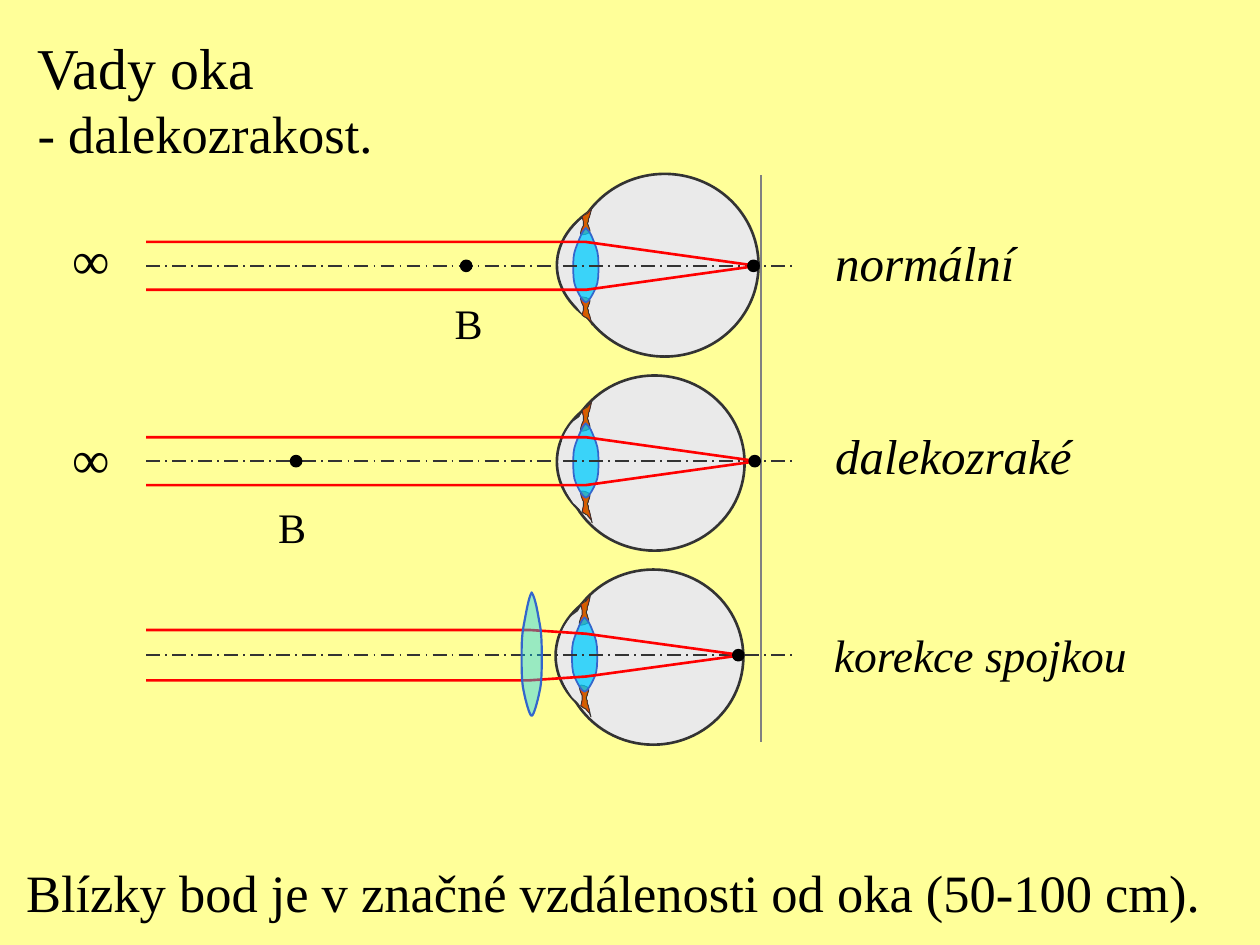
import copy
from dataclasses import dataclass
from typing import Any, NamedTuple, Optional

import pptx
import pptx.dml.color
import pptx.enum.dml
import pptx.enum.shapes
import pptx.enum.text
import pptx.oxml.ns
import pptx.util

Inches = pptx.util.Inches
Pt = pptx.util.Pt
qn = pptx.oxml.ns.qn
OVAL = pptx.enum.shapes.MSO_SHAPE.OVAL
Steps = list[tuple[float, ...]]


@dataclass(frozen=True)
class Theme:
    font: str = "Times New Roman"
    back: str = "FFFF99"
    ink: str = "000000"
    globe: str = "EAEAEA"
    edge: str = "333333"
    lens: str = "00CCFF"
    rim: str = "3366CC"
    ray: str = "FF0000"
    wall: str = "808080"
    iris: tuple = ("FF3300", "CC6600", "FF3300")
    title: int = 33
    body: int = 30
    label: int = 28
    small: int = 26
    mark: int = 24


class Box(NamedTuple):
    left: float
    top: float
    width: float
    height: float


@dataclass(frozen=True)
class Eye:
    """Parts of an eye; heights are measured from the optical axis."""
    bulge: Box
    globe: Box
    inner: Steps
    iris_top: float
    iris_high: float


@dataclass(frozen=True)
class Row:
    axis: float
    eye: Eye
    rays: Steps
    focus: float
    near: Optional[float] = None
    shift: float = 0


@dataclass(frozen=True)
class Label:
    box: Box
    lines: tuple
    italic: bool = False
    wrap: bool = False


THEME = Theme()

# Outlines: a start point, then straight (2 numbers) or curved (6 numbers) steps
LENS = [(0, -.3), (-.03, -.28, -.06, -.19, -.08, -.14), (-.1, -.09, -.1, -.04, -.1, .01),
        (-.1, .06, -.1, .13, -.08, .17), (-.06, .22, -.02, .29, 0, .29),
        (.02, .29, .06, .22, .08, .17), (.1, .13, .1, .06, .1, .01),
        (.1, -.04, .1, -.1, .08, -.15), (.06, -.2, .04, -.27, 0, -.3)]
# The iris runs from 0 at the top to 1 at the bottom
IRIS = [(4.7, 0), (4.68, .33), (4.67, .4, 4.67, .45, 4.67, .5),
        (4.66, .55, 4.66, .6, 4.67, .66), (4.67, .72, 4.69, .82, 4.68, .88),
        (4.67, .93, 4.62, 1, 4.61, .96), (4.6, .93, 4.62, .72, 4.63, .66),
        (4.63, .58, 4.63, .56, 4.63, .51), (4.63, .46, 4.62, .38, 4.62, .34),
        (4.64, .28), (4.66, .24), (4.69, .1), (4.7, 0)]
NORMAL = Eye(
    Box(4.42, -.58, 1.57, 1.15), Box(4.53, -.73, 1.49, 1.45),
    [(4.84, -.44), (4.82, -.58, 4.71, -.44, 4.66, -.4), (4.61, -.37, 4.55, -.32, 4.53, -.24),
     (4.5, -.17, 4.5, -.05, 4.5, .02), (4.5, .1, 4.5, .16, 4.53, .22),
     (4.55, .29, 4.6, .36, 4.64, .4), (4.74, .46), (4.78, .32, 4.85, -.29, 4.84, -.44)],
    -.47, .23)
SHORT = Eye(
    Box(4.42, -.57, 1.4, 1.15), Box(4.48, -.68, 1.43, 1.39),
    [(4.83, -.43), (4.81, -.58, 4.68, -.41, 4.65, -.4), (4.61, -.38, 4.61, -.37, 4.6, -.35),
     (4.58, -.33, 4.56, -.33, 4.53, -.29), (4.51, -.26, 4.47, -.21, 4.46, -.15),
     (4.45, -.09, 4.45, 0, 4.46, .06), (4.46, .13, 4.48, .18, 4.49, .23),
     (4.51, .27, 4.53, .3, 4.55, .33), (4.58, .36, 4.6, .38, 4.63, .4), (4.73, .46),
     (4.77, .33, 4.84, -.29, 4.83, -.43)],
    -.49, .26)

LONG = [(1.16, -.19), (4.65, -.19), (6.01, 0)]
BENT = [(1.16, -.2), (4.2, -.2), (4.65, -.17), (5.89, 0)]
ROWS = [Row(2.11, NORMAL, LONG, 5.98, 3.7),
        Row(3.66, SHORT, LONG, 5.99, 2.35),
        Row(5.2, SHORT, BENT, 5.86, shift=-.01)]

LABELS = [
    Label(Box(.2, .2, 2.9, 1.15), (("Vady oka", THEME.title), ("- dalekozrakost.", THEME.body))),
    Label(Box(6.53, 1.8, 1.67, .57), (("normální", THEME.label),), italic=True),
    Label(Box(6.53, 3.33, 2.12, .57), (("dalekozraké", THEME.label),), italic=True),
    Label(Box(6.52, 4.93, 2.58, .54), (("korekce spojkou", THEME.small),), italic=True),
    Label(Box(.11, 6.78, 9.6, .6),
          (("Blízky bod je v značné vzdálenosti od oka (50-100 cm).", THEME.body),)),
    Label(Box(.37, 1.75, .6, .6), ((" ∞", THEME.body),)),
    Label(Box(.37, 3.33, .6, .6), ((" ∞", THEME.body),)),
    Label(Box(3.51, 2.31, .38, .5), (("B", THEME.mark),), wrap=True),
    Label(Box(2.11, 3.93, .4, .5), (("B", THEME.mark),), wrap=True)]


def rgb(code: str) -> pptx.dml.color.RGBColor:
    return pptx.dml.color.RGBColor.from_string(code)


def move(steps: Steps, dx: float = 0, dy: float = 0, wide: float = 1, high: float = 1) -> Steps:
    """Scale and shift every point of an outline."""
    return [tuple(dy + v * high if i % 2 else dx + v * wide for i, v in enumerate(step))
            for step in steps]


def paint(shape: Any, fill: Optional[str], line: Optional[str],
          width: float = 1.5, alpha: int = 100) -> None:
    shape.shadow.inherit = False
    if fill:
        shape.fill.solid()
        shape.fill.fore_color.rgb = rgb(fill)
        if alpha < 100:
            tone = shape._element.spPr.find(qn("a:solidFill"))[0]
            tone.append(tone.makeelement(qn("a:alpha"), {"val": str(alpha * 1000)}))
    else:
        shape.fill.background()
    if line:
        shape.line.color.rgb = rgb(line)
        shape.line.width = Pt(width)
    else:
        shape.line.fill.background()


def oval(shapes: Any, box: Box, fill: str, line: str) -> None:
    paint(shapes.add_shape(OVAL, *map(Inches, box)), fill, line)


def dot(shapes: Any, x: float, y: float) -> None:
    oval(shapes, Box(x - .04, y - .04, .08, .08), THEME.ink, THEME.ink)


def form(shapes: Any, steps: Steps, close: bool = True) -> Any:
    """Draw an outline through the step ends, then bend its curved steps."""
    spots = [(Inches(step[-2]), Inches(step[-1])) for step in steps]
    maker = shapes.build_freeform(*spots[0])
    maker.add_line_segments(spots[1:], close=close)
    shape = maker.convert_to_shape()
    base = [min(axis) for axis in zip(*spots)]
    lines = list(shape._element.spPr.iter(qn("a:lnTo")))
    for line, step in zip(lines, steps[1:]):
        if len(step) == 6:
            curve = line.makeelement(qn("a:cubicBezTo"), {})
            for x, y in zip(step[::2], step[1::2]):
                spot = {"x": str(Inches(x) - base[0]), "y": str(Inches(y) - base[1])}
                curve.append(line.makeelement(qn("a:pt"), spot))
            line.getparent().replace(line, curve)
    return shape


def rule(shapes: Any, start: tuple, end: tuple, color: str, width: float) -> Any:
    kind = pptx.enum.shapes.MSO_CONNECTOR.STRAIGHT
    line = shapes.add_connector(kind, *map(Inches, start + end))
    line.line.color.rgb = rgb(color)
    line.line.width = Pt(width)
    props = line._element.spPr
    props.append(props.makeelement(qn("a:effectLst"), {}))
    return line


def iris(shapes: Any, row: Row, side: int) -> None:
    eye = row.eye
    shape = form(shapes, move(IRIS, row.shift, row.axis + side * eye.iris_top,
                              high=side * eye.iris_high))
    paint(shape, None, THEME.edge, .5)
    shape.fill.gradient()
    shape.fill.gradient_angle = 180
    stops = shape._element.spPr.find(qn("a:gradFill")).find(qn("a:gsLst"))
    stops.insert(1, copy.deepcopy(stops[0]))
    for i, stop in enumerate(shape.fill.gradient_stops):
        stop.color.rgb = rgb(THEME.iris[i])
        stop.position = i / 2


def draw_eye(shapes: Any, row: Row) -> None:
    group, eye = shapes.add_group_shape().shapes, row.eye
    for box in (eye.bulge, eye.globe):
        spot = box._replace(left=box.left + row.shift, top=box.top + row.axis)
        oval(group, spot, THEME.globe, THEME.edge)
    paint(form(group, move(eye.inner, row.shift, row.axis)), THEME.globe, None)
    for side in (1, -1):
        iris(group, row, side)
    lens = form(group, move(LENS, 4.65 + row.shift, row.axis))
    paint(lens, THEME.lens, THEME.rim, 1, 75)
    axis = rule(group, (1.16, row.axis), (6.3, row.axis), THEME.edge, 1)
    axis.line.dash_style = pptx.enum.dml.MSO_LINE.LONG_DASH_DOT


def draw_rays(shapes: Any, row: Row) -> None:
    group = shapes.add_group_shape().shapes
    for side in (1, -1):
        ray = form(group, move(row.rays, dy=row.axis, high=side), close=False)
        paint(ray, None, THEME.ray)
    for x in filter(None, (row.focus, row.near)):
        dot(shapes, x, row.axis)


def write(shapes: Any, label: Label) -> None:
    frame = shapes.add_textbox(*map(Inches, label.box)).text_frame
    frame.word_wrap = label.wrap
    frame.auto_size = pptx.enum.text.MSO_AUTO_SIZE.SHAPE_TO_FIT_TEXT
    for i, (text, size) in enumerate(label.lines):
        para = frame.add_paragraph() if i else frame.paragraphs[0]
        run = para.add_run()
        run.text = text
        run.font.name, run.font.size = THEME.font, Pt(size)
        run.font.italic = label.italic
        run.font.color.rgb = rgb(THEME.ink)


def main() -> None:
    deck = pptx.Presentation()
    deck.slide_width, deck.slide_height = Inches(10), Inches(7.5)
    slide = deck.slides.add_slide(deck.slide_layouts[6])
    slide.background.fill.solid()
    slide.background.fill.fore_color.rgb = rgb(THEME.back)
    shapes = slide.shapes
    # Eyes, and the line level with a normal retina
    for row in ROWS:
        draw_eye(shapes, row)
    rule(shapes, (6.04, 1.39), (6.04, 5.89), THEME.wall, 1.5)
    # Light, then the correcting lens over it
    for row in ROWS:
        draw_rays(shapes, row)
    glass = form(shapes, move(LENS, 4.22, ROWS[-1].axis, .8, 1.66))
    paint(glass, THEME.lens, THEME.rim, 1.25, 40)
    # Words
    for label in LABELS:
        write(shapes, label)
    deck.save("out.pptx")


if __name__ == "__main__":
    main()
